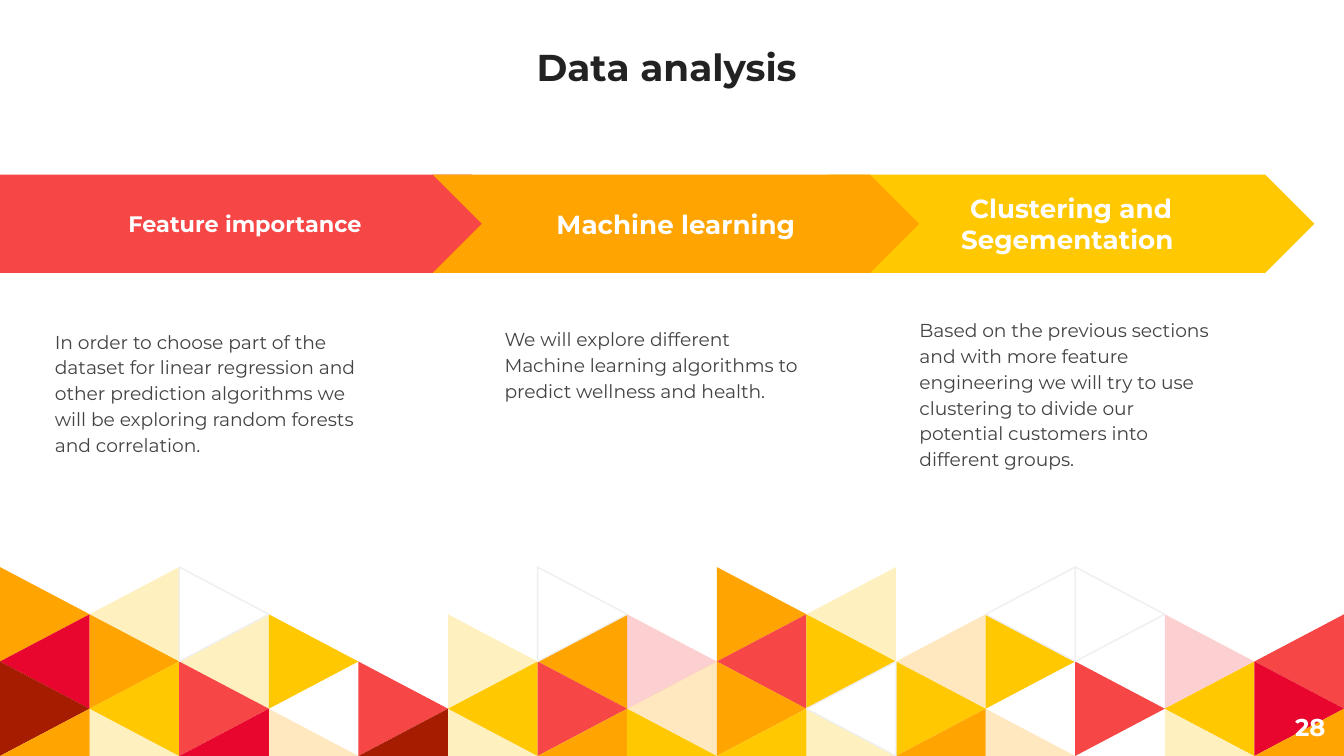
from lxml.etree import SubElement
from pptx import Presentation
from pptx.dml.color import RGBColor
from pptx.enum.shapes import MSO_SHAPE as Shape
from pptx.enum.text import MSO_ANCHOR as Anchor, PP_ALIGN as Align
from pptx.oxml.ns import qn
from pptx.util import Pt

WIDTH, HEIGHT = 720, 405
FONT = "Montserrat"
TITLE = "Data analysis "
PAGE = "28"

# label, label size, shape, left, width; back to front
BAND_TOP, BAND_HEIGHT = 93.6, 52.6
STEPS = [
    ("Clustering and Segementation ", 14, Shape.CHEVRON, 443.5, 260.6, "FFC800"),
    ("Feature importance ", 12, Shape.PENTAGON, 0, 279.2, "F64646"),
    ("Machine learning", 14, Shape.CHEVRON, 231.8, 260.6, "FFA400"),
]

# left, top, text
DETAIL_WIDTH, DETAIL_HEIGHT = 176.4, 206
DETAILS = [
    (22.3, 168, "In order to choose part of the dataset for linear regression and other "
                "prediction algorithms we will be exploring random forests and correlation."),
    (263.2, 166.8, "We will explore different Machine learning algorithms to predict "
                   "wellness and health."),
    (485.5, 162, "Based on the previous sections and with more feature engineering we will "
                 "try to use clustering to divide our potential customers into different groups."),
]

# One letter per triangle: lower case is the pale tint, W is outlined, a dot is empty
MOSAIC = [
    "OyW...W.Oy.WW..",
    "COyY.yOrRYoY.rR",
    "MYR.RYRoOWY.RYC",
    "OyCoMyOYYyOo.yO",
]
COLOURS = {"O": "FFA400", "Y": "FFC800", "R": "F64646", "C": "E8062F",
           "M": "A61C00", "W": "FFFFFF"}
COLUMN = WIDTH / len(MOSAIC[0])
ROW = 25.3
MOSAIC_TOP = HEIGHT - ROW * len(MOSAIC)


def colour(hex_code):
    return RGBColor.from_string(hex_code)


def paint(shape, hex_code):
    shape.shadow.inherit = False
    shape.fill.solid()
    shape.fill.fore_color.rgb = colour(hex_code)
    shape.line.fill.background()


def write(shape, text, size, hex_code, bold=False, align=Align.LEFT,
          anchor=Anchor.TOP, spacing=None):
    frame = shape.text_frame
    frame.word_wrap = True
    frame.vertical_anchor = anchor
    frame.margin_left = frame.margin_right = Pt(7.2)
    frame.margin_top = frame.margin_bottom = Pt(7.2)
    paragraph = frame.paragraphs[0]
    paragraph.text = text
    paragraph.alignment = align
    if spacing:
        paragraph.line_spacing = spacing
    font = paragraph.font
    font.name, font.size, font.bold = FONT, Pt(size), bold
    font.color.rgb = colour(hex_code)


def add_text(slide, left, top, width, height, *args, **style):
    box = slide.shapes.add_textbox(Pt(left), Pt(top), Pt(width), Pt(height))
    write(box, *args, **style)


def add_triangle(slide, column, row, code):
    """Point right where column + row is even, else left; cut off at the slide's foot."""
    side, apex = (column, column + 1) if (column + row) % 2 == 0 else (column + 1, column)
    corners = [(side, row), (apex, row + 1), (side, min(row + 2, len(MOSAIC)))]
    points = [(Pt(x * COLUMN), Pt(MOSAIC_TOP + y * ROW)) for x, y in corners]
    builder = slide.shapes.build_freeform(*points[0])
    builder.add_line_segments(points[1:], close=True)
    triangle = builder.convert_to_shape()
    paint(triangle, COLOURS[code.upper()])
    if code == "W":
        triangle.line.color.rgb = colour("EFEFEF")
        triangle.line.width = Pt(0.75)
    elif code.islower():
        fill = triangle.element.spPr.find(qn("a:solidFill"))
        SubElement(fill[0], qn("a:alpha"), val="25000")


def main():
    deck = Presentation()
    deck.slide_width, deck.slide_height = Pt(WIDTH), Pt(HEIGHT)
    slide = deck.slides.add_slide(deck.slide_layouts[6])

    tiles = [(column, row, code) for row, codes in enumerate(MOSAIC)
             for column, code in enumerate(codes) if code != "."]
    for tile in sorted(tiles, key=lambda t: t[2] == "W"):  # outlined ones in front
        add_triangle(slide, *tile)

    add_text(slide, 0, 0, WIDTH, 54.7, TITLE, 20, "222222", bold=True,
             align=Align.CENTER, anchor=Anchor.BOTTOM)
    add_text(slide, 673.9, 373.7, 43.2, 31, PAGE, 13, "FFFFFF", bold=True,
             align=Align.RIGHT, anchor=Anchor.MIDDLE)

    for label, size, kind, left, width, fill in STEPS:
        arrow = slide.shapes.add_shape(kind, Pt(left), Pt(BAND_TOP), Pt(width), Pt(BAND_HEIGHT))
        paint(arrow, fill)
        write(arrow, label, size, "FFFFFF", bold=True, align=Align.CENTER, anchor=Anchor.MIDDLE)

    for left, top, text in DETAILS:
        add_text(slide, left, top, DETAIL_WIDTH, DETAIL_HEIGHT, text, 10, "434343", spacing=1.15)

    deck.save("out.pptx")


if __name__ == "__main__":
    main()
